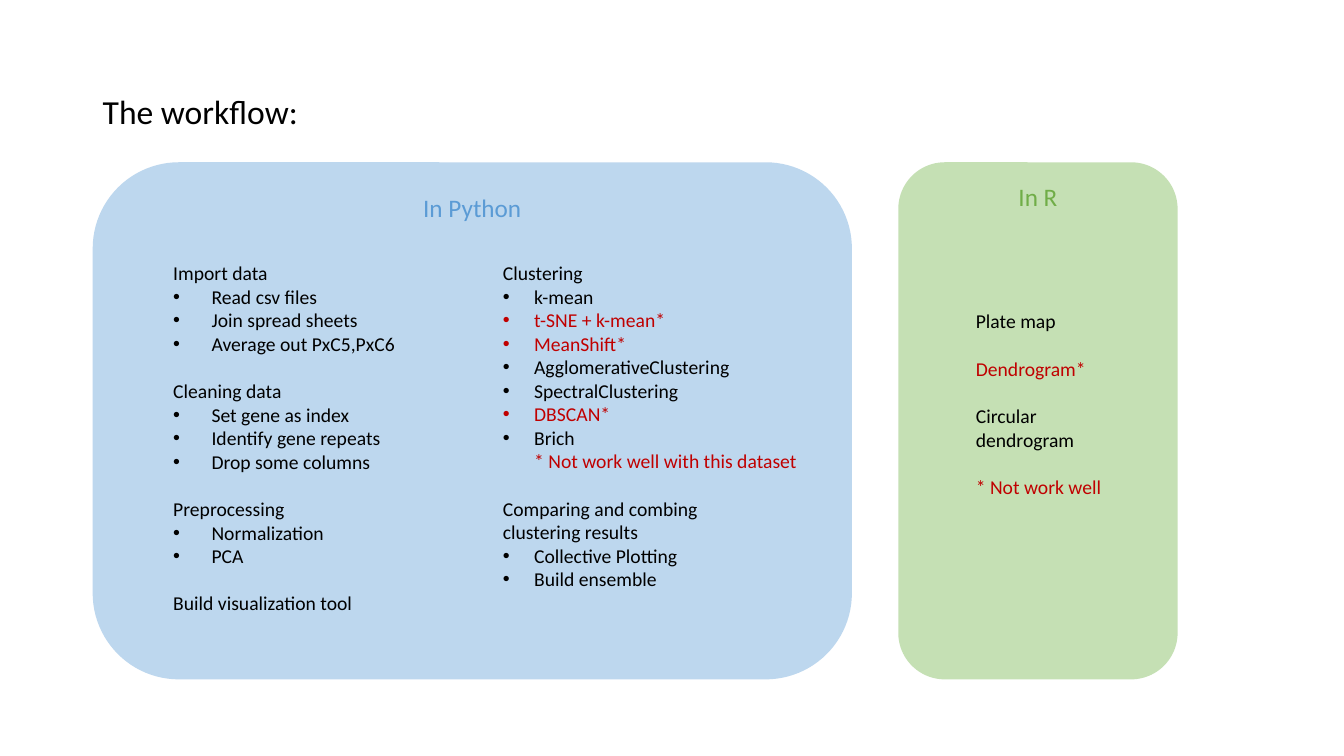
"""Build a slide showing which workflow steps run in Python and which in R."""
from lxml.etree import SubElement
from pptx import Presentation
from pptx.dml.color import RGBColor
from pptx.enum.shapes import MSO_SHAPE as Shape
from pptx.enum.text import MSO_ANCHOR as Anchor, PP_ALIGN as Align
from pptx.oxml.ns import qn
from pptx.util import Inches, Pt

BLACK, RED = "000000", "C00000"
BODY_SIZE, GROUP_GAP = 14, 17

deck = Presentation()
deck.slide_width, deck.slide_height = Inches(13.33), Inches(7.5)
page = deck.slides.add_slide(deck.slide_layouts[6])
COLUMN, ROW = deck.slide_width / 100, deck.slide_height / 100


def place(left, top, width, height):
    """Turn grid columns and rows into slide lengths."""
    return [int(left * COLUMN), int(top * ROW), int(width * COLUMN), int(height * ROW)]


def style(para, size, color):
    """Set the font of every run in a paragraph."""
    for span in para.runs:
        span.font.name = "Calibri"
        span.font.size = Pt(size)
        span.font.color.rgb = RGBColor.from_string(color)


title = page.shapes.add_textbox(*place(6.9, 11.33, 16.2, 6.67)).text_frame
title.word_wrap = False
title.text = "The workflow:"
style(title.paragraphs[0], 24, BLACK)

panels = [
    ("In Python", 6.9, 56.49, "BDD7EE", "5B9BD5"),
    ("In R", 66.84, 20.78, "C5E0B4", "70AD47"),
]
for heading, left, width, fill, color in panels:
    panel = page.shapes.add_shape(Shape.ROUNDED_RECTANGLE, *place(left, 21.47, width, 68.4))
    panel.shadow.inherit = False
    panel.fill.solid()
    panel.fill.fore_color.rgb = RGBColor.from_string(fill)
    panel.line.fill.background()
    panel.text_frame.vertical_anchor = Anchor.TOP
    panel.text_frame.text = heading
    para = panel.text_frame.paragraphs[0]
    para.alignment = Align.CENTER
    style(para, 18, color)

# Lines starting with "•" are bullets; lines holding "*" are red.
step_lists = [
    ((12.15, 33.87, 22.81, 52.53), 0.38, [
        ["Import data", "•Read csv files", "•Join spread sheets", "•Average out PxC5,PxC6"],
        ["Cleaning data", "•Set gene as index", "•Identify gene repeats", "•Drop some columns"],
        ["Preprocessing", "•Normalization", "•PCA"],
        ["Build visualization tool"],
    ]),
    ((36.68, 33.87, 23.78, 55.6), 0.31, [
        ["Clustering", "•k-mean", "•t-SNE + k-mean*", "•MeanShift*",
         "•AgglomerativeClustering", "•SpectralClustering", "•DBSCAN*", "•Brich",
         "* Not work well with this dataset"],
        ["Comparing and combing", "clustering results", "•Collective Plotting",
         "•Build ensemble"],
    ]),
    ((71.87, 40.27, 13.65, 26.53), 0, [
        ["Plate map"], ["Dendrogram*"], ["Circular dendrogram"], ["* Not work well"],
    ]),
]
for area, indent, groups in step_lists:
    frame = page.shapes.add_textbox(*place(*area)).text_frame
    frame.word_wrap = True
    frame.text = "\n".join(line.lstrip("•") for group in groups for line in group)
    paragraphs = iter(frame.paragraphs)
    for group_number, group in enumerate(groups):
        for line_number, line in enumerate(group):
            para = next(paragraphs)
            if group_number and not line_number:
                para.space_before = Pt(GROUP_GAP)
            if line[0] in "•*":
                properties = para._p.get_or_add_pPr()
                properties.set("marL", str(Inches(indent)))
                if line[0] == "•":
                    properties.set("indent", str(-Inches(indent)))
                    SubElement(properties, qn("a:buFont"), typeface="Arial")
                    SubElement(properties, qn("a:buChar"), char="•")
            style(para, BODY_SIZE, RED if "*" in line else BLACK)

deck.save("out.pptx")
